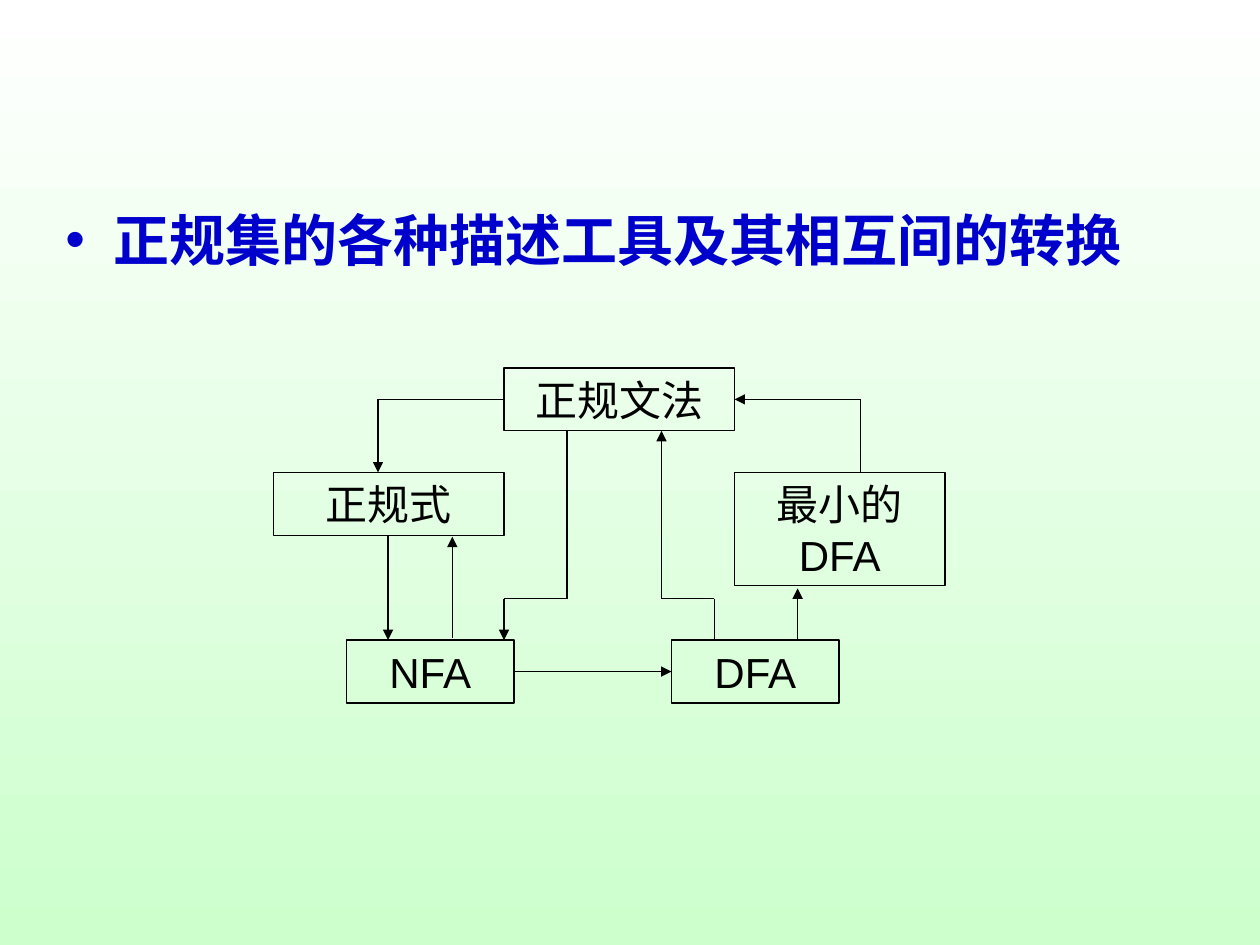
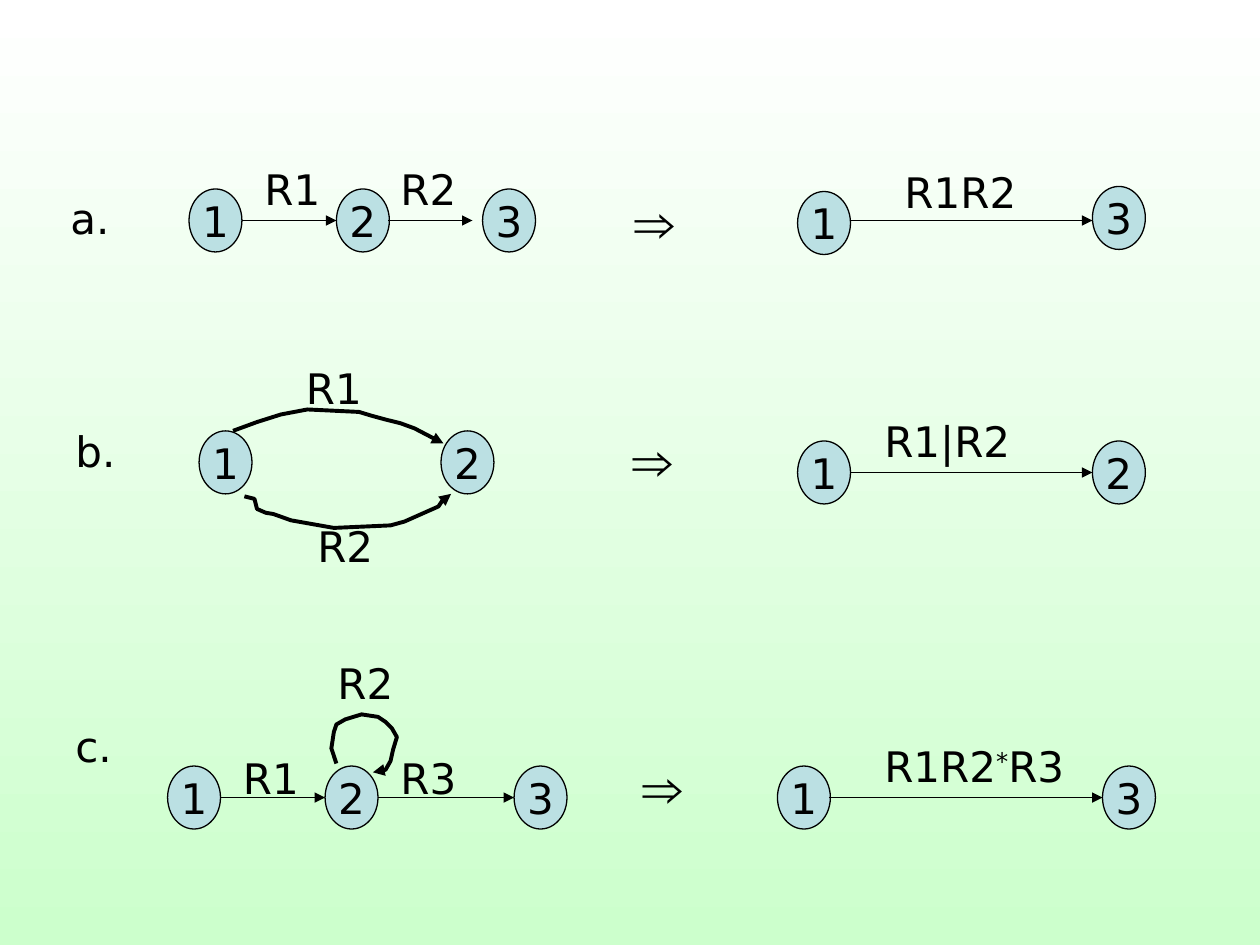
from dataclasses import dataclass

from lxml import etree
from pptx import Presentation
from pptx.dml.color import RGBColor
from pptx.enum.shapes import MSO_CONNECTOR, MSO_SHAPE
from pptx.enum.text import MSO_ANCHOR, MSO_AUTO_SIZE, PP_ALIGN
from pptx.oxml.ns import qn
from pptx.util import Inches, Pt

STRAIGHT = MSO_CONNECTOR.STRAIGHT
RECTANGLE, OVAL = MSO_SHAPE.RECTANGLE, MSO_SHAPE.OVAL
TOP, MIDDLE = MSO_ANCHOR.TOP, MSO_ANCHOR.MIDDLE
LEFT, CENTER = PP_ALIGN.LEFT, PP_ALIGN.CENTER
GROW = MSO_AUTO_SIZE.SHAPE_TO_FIT_TEXT
FIXED = MSO_AUTO_SIZE.NONE
LEFT_SIDE, RIGHT_SIDE = 1, 3


@dataclass(frozen=True)
class Theme:
    ink: RGBColor = RGBColor(0x00, 0x00, 0x00)
    heading: RGBColor = RGBColor(0x00, 0x00, 0xCC)
    state: RGBColor = RGBColor(0xBB, 0xE0, 0xE3)
    sky: RGBColor = RGBColor(0xFF, 0xFF, 0xFF)
    ground: RGBColor = RGBColor(0xCC, 0xFF, 0xCC)
    text_font: str = "Arial"
    graph_font: str = "DejaVu Sans"
    heading_size: int = 32
    label_size: int = 24
    thin: float = 0.75
    thick: float = 2.25


theme = Theme()


def add_text(page, text, at, *, outline=None, fill=None, font=theme.graph_font,
             size=theme.label_size, color=theme.ink, bold=False, align=LEFT,
             anchor=TOP, wrap=True, fit=GROW):
    area = [Inches(value) for value in at]
    if outline is None:
        box = page.shapes.add_textbox(*area)
    else:
        box = page.shapes.add_shape(outline, *area)
        box.shadow.inherit = False
        box.line.color.rgb = theme.ink
        box.line.width = Pt(theme.thin)
        if fill is None:
            box.fill.background()
        else:
            box.fill.solid()
            box.fill.fore_color.rgb = fill
    frame = box.text_frame
    frame.word_wrap = wrap
    frame.auto_size = fit
    frame.vertical_anchor = anchor
    para = frame.paragraphs[0]
    para.alignment = align
    for index, part in enumerate(text.split("^")):
        span = para.add_run()
        span.text = part
        span.font.name = font
        span.font.size = Pt(size)
        span.font.bold = bold
        span.font.color.rgb = color
        if index % 2:
            span._r.get_or_add_rPr().set("baseline", "30000")
    return box


def style_line(item, width=theme.thin, arrow=True):
    item.line.color.rgb = theme.ink
    item.line.width = Pt(width)
    properties = item.element.spPr
    if arrow:
        etree.SubElement(properties.get_or_add_ln(), qn("a:tailEnd"), type="triangle")
    etree.SubElement(properties, qn("a:effectLst"))


deck = Presentation()
deck.slide_width, deck.slide_height = Inches(10), Inches(7.5)
blank = deck.slide_layouts[6]
backdrop = deck.slide_master.background.fill
backdrop.gradient()
backdrop.gradient_angle = 270
for stop, color in zip(backdrop.gradient_stops, (theme.sky, theme.ground)):
    stop.color.rgb = color

page = deck.slides.add_slide(blank)
heading = add_text(page, "正规集的各种描述工具及其相互间的转换", (0.42, 1.58, 9, 0.83),
                   font=theme.text_font, size=theme.heading_size,
                   color=theme.heading, bold=True, fit=FIXED)
bullet = heading.text_frame.paragraphs[0]._p.get_or_add_pPr()
bullet.set("marL", str(Inches(0.38)))
bullet.set("indent", str(Inches(-0.38)))
bullet_color = etree.SubElement(bullet, qn("a:buClr"))
etree.SubElement(bullet_color, qn("a:srgbClr"), val=str(theme.heading))
etree.SubElement(bullet, qn("a:buFont"), typeface=theme.text_font)
etree.SubElement(bullet, qn("a:buChar"), char="•")

tools = {
    "正规文法": (4, 2.92, 1.83, 0.5),
    "正规式": (2.17, 3.75, 1.83, 0.5),
    "最小的DFA": (5.83, 3.75, 1.67, 0.9),
    "NFA": (2.75, 5.08, 1.33, 0.5),
    "DFA": (5.33, 5.08, 1.33, 0.5),
}
boxes = {
    name: add_text(page, name, at, outline=RECTANGLE, font=theme.text_font, align=CENTER)
    for name, at in tools.items()
}

conversions = [
    ([(4.5, 3.42), (4.5, 4.75), (4, 4.75), (4, 5.08)], None, None),
    ([(4, 3.17), (3, 3.17), (3, 3.75)], "正规文法", None),
    ([(3.08, 4.25), (3.08, 5.08)], None, None),
    ([(3.59, 5.06), (3.59, 4.26)], None, None),
    ([(4.08, 5.33), (5.33, 5.33)], "NFA", "DFA"),
    ([(5.67, 5.08), (5.67, 4.75), (5.25, 4.75), (5.25, 3.42)], None, None),
    ([(6.33, 5.08), (6.33, 4.67)], None, None),
    ([(6.83, 3.75), (6.83, 3.17), (5.83, 3.17)], None, "正规文法"),
]
for points, source, target in conversions:
    segments = []
    for start, end in zip(points, points[1:]):
        segment = page.shapes.add_connector(
            STRAIGHT, *[Inches(value) for value in start + end])
        style_line(segment, arrow=end == points[-1])
        segments.append(segment)
    if source:
        side = LEFT_SIDE if points[1][0] < points[0][0] else RIGHT_SIDE
        segments[0].begin_connect(boxes[source], side)
    if target:
        side = LEFT_SIDE if points[-2][0] < points[-1][0] else RIGHT_SIDE
        segments[-1].end_connect(boxes[target], side)

page = deck.slides.add_slide(blank)
states = [
    ("1", 1.5, 1.5), ("2", 2.67, 1.5), ("3", 3.83, 1.5), ("1", 6.33, 1.52), ("3", 8.67, 1.48),
    ("1", 1.58, 3.42), ("2", 3.5, 3.42), ("1", 6.33, 3.5), ("2", 8.67, 3.5),
    ("1", 1.33, 6.08), ("2", 2.58, 6.08), ("3", 4.08, 6.08), ("1", 6.17, 6.08), ("3", 8.75, 6.08),
]
for name, left, top in states:
    add_text(page, name, (left, top, 0.42, 0.5), outline=OVAL, fill=theme.state,
             align=CENTER, anchor=MIDDLE, wrap=False, fit=FIXED)

transitions = [
    (1.92, 2.67, 1.75), (3.08, 3.75, 1.75), (6.75, 8.67, 1.75),
    (6.75, 8.67, 3.75),
    (1.75, 2.58, 6.33), (3, 4.08, 6.33), (6.58, 8.75, 6.33),
]
for start, end, height in transitions:
    style_line(page.shapes.add_connector(
        STRAIGHT, Inches(start), Inches(height), Inches(end), Inches(height)))

upper_arc = [(1.85, 3.42), (2.04, 3.35), (2.23, 3.29), (2.44, 3.25), (2.85, 3.27),
             (2.95, 3.3), (3.06, 3.33), (3.18, 3.36), (3.29, 3.4), (3.52, 3.52)]
lower_arc = [(1.94, 3.94), (2.02, 3.96), (2.04, 4.04), (2.11, 4.07), (2.17, 4.08),
             (2.31, 4.13), (2.65, 4.19), (3.1, 4.17), (3.21, 4.14), (3.48, 4.02),
             (3.52, 3.96), (3.58, 3.92)]
self_loop = [(2.67, 6.06), (2.63, 5.94), (2.65, 5.81), (2.67, 5.75), (2.74, 5.71),
             (2.87, 5.67), (3, 5.69), (3.06, 5.73), (3.11, 5.78), (3.15, 5.85),
             (3.12, 5.95), (3.1, 6.04), (3.06, 6.11), (2.96, 6.13)]
for points in (upper_arc, lower_arc, self_loop):
    corners = [(Inches(x), Inches(y)) for x, y in points]
    builder = page.shapes.build_freeform(*corners[0])
    builder.add_line_segments(corners[1:], close=False)
    curve = builder.convert_to_shape()
    curve.fill.background()
    style_line(curve, width=theme.thick)

labels = [
    ("a.", 0.46, 1.48, 0.58), ("R1", 2, 1.25, 0.75), ("R2", 3.08, 1.25, 0.75),
    ("R1R2", 7.08, 1.27, 1.25),
    ("b.", 0.5, 3.33, 0.58), ("R1", 2.33, 2.83, 0.75), ("R2", 2.42, 4.08, 0.75),
    ("R1|R2", 6.92, 3.25, 1.42),
    ("c.", 0.5, 5.67, 0.58), ("R1", 1.83, 5.92, 0.75), ("R2", 2.58, 5.17, 0.83),
    ("R3", 3.08, 5.92, 0.67), ("R1R2^*^R3", 6.92, 5.83, 1.83),
]
for text, left, top, width in labels:
    add_text(page, text, (left, top, width, 0.5))

for left, top in ((4.94, 1.44), (4.92, 3.33), (5, 5.92)):
    add_text(page, "⇒", (left, top, 0.67, 0.64), font=theme.text_font,
             size=theme.heading_size)

deck.save("out.pptx")
